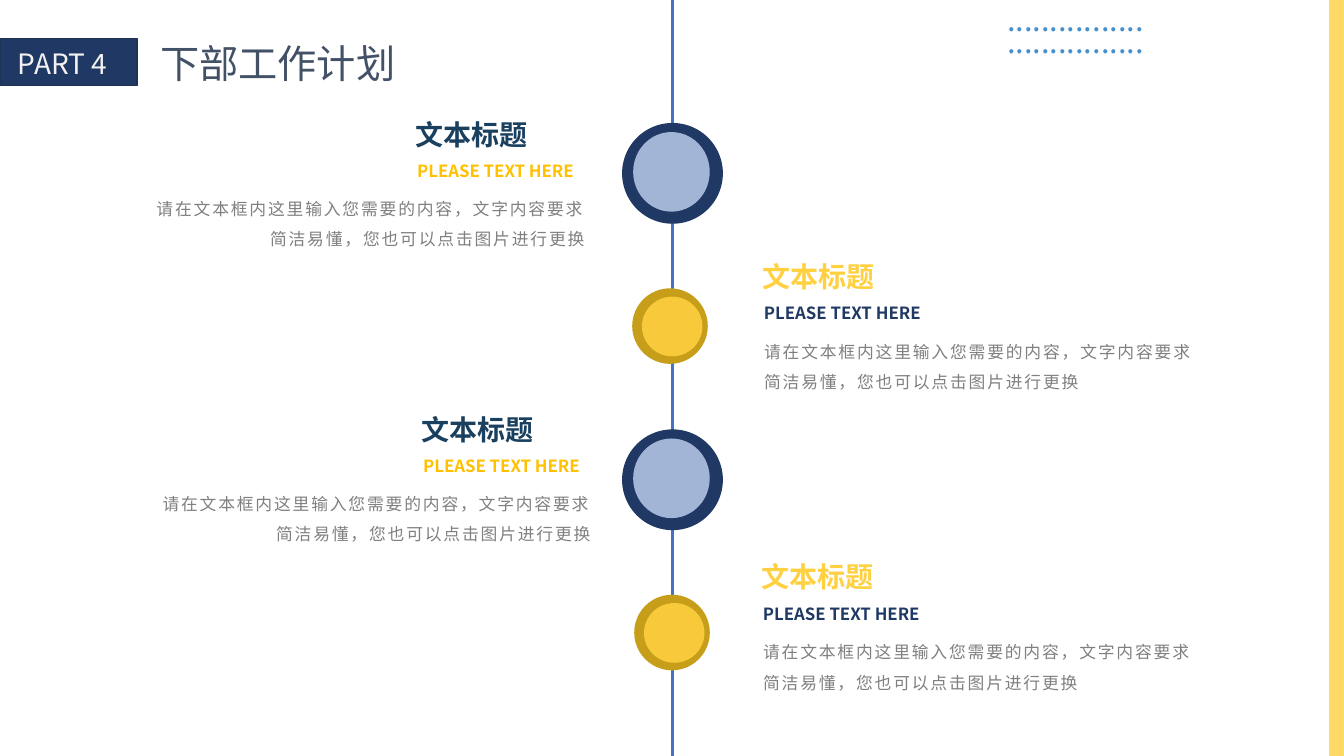
from collections import namedtuple
from lxml.etree import SubElement
from pptx import Presentation
from pptx.dml.color import RGBColor
from pptx.enum.shapes import MSO_CONNECTOR, MSO_SHAPE
from pptx.enum.text import MSO_ANCHOR, MSO_AUTO_SIZE, PP_ALIGN
from pptx.oxml.ns import qn
from pptx.util import Inches, Pt

CELL = Inches(0.1)
COLS, ROWS = 133.3, 75
FONT = "Noto Sans CJK SC"
BODY = "请在文本框内这里输入您需要的内容，文字内容要求简洁易懂，您也可以点击图片进行更换"

NAVY = RGBColor(0x20, 0x38, 0x64)
EDGE = RGBColor(0x1E, 0x32, 0x56)
SLATE = RGBColor(0x42, 0x51, 0x66)
PALE = RGBColor(0xF2, 0xF2, 0xF2)
SKY = RGBColor(0x47, 0x90, 0xCD)
SAND = RGBColor(0xFF, 0xD9, 0x66)
BLUE = RGBColor(0x44, 0x72, 0xC4)
MIST = RGBColor(0xB4, 0xC7, 0xE7)
OCHRE = RGBColor(0xC7, 0x9E, 0x19)
GOLD = RGBColor(0xFF, 0xD0, 0x40)
AMBER = RGBColor(0xFF, 0xC0, 0x00)
TEAL = RGBColor(0x1A, 0x40, 0x60)
GRAY = RGBColor(0x80, 0x80, 0x80)

Box = namedtuple("Box", "left top width height")
Look = namedtuple("Look", "head label align shift")
Disc = namedtuple("Disc", "rim core inset")

LEFT = Look(TEAL, AMBER, PP_ALIGN.RIGHT, 25.6)
RIGHT = Look(GOLD, NAVY, PP_ALIGN.LEFT, -0.9)
LARGE = Disc(NAVY, MIST, Box(0.11, 0.09, 0.76, 0.79))
SMALL = Disc(OCHRE, GOLD, Box(0.13, 0.11, 0.8, 0.79))

STEPS = [
    (Box(13.9, 11.3, 45.1, 13.7), LEFT, Box(61.7, 12.2, 10, 10), LARGE),
    (Box(74.8, 25.4, 45.1, 13.8), RIGHT, Box(62.7, 28.6, 7.5, 7.5), SMALL),
    (Box(14.5, 40.6, 45.1, 13.7), LEFT, Box(61.7, 42.6, 10, 10), LARGE),
    (Box(74.7, 55.2, 45.1, 13.8), RIGHT, Box(62.9, 59, 7.5, 7.5), SMALL),
]


def scale(box):
    return [round(part * CELL) for part in box]


def fill_text(frame, text, size, color, align, bold=False, anchor=MSO_ANCHOR.TOP):
    frame.word_wrap = True
    frame.auto_size = MSO_AUTO_SIZE.NONE
    frame.vertical_anchor = anchor
    para = frame.paragraphs[0]
    para.alignment = align
    run = para.add_run()
    run.text = text
    run.font.size = Pt(size)
    run.font.bold = bold
    run.font.name = FONT
    run.font.color.rgb = color
    SubElement(run.font._element, qn("a:ea"), typeface=FONT)
    return para, run


def add_text(slide, box, *args, **more):
    frame = slide.shapes.add_textbox(*scale(box)).text_frame
    return fill_text(frame, *args, **more)


def add_form(slide, kind, box, color, alpha=None):
    form = slide.shapes.add_shape(kind, *scale(box))
    form.shadow.inherit = False
    form.fill.solid()
    form.fill.fore_color.rgb = color
    form.line.fill.background()
    if alpha:
        tone = form._element.spPr.find(qn("a:solidFill"))[0]
        SubElement(tone, qn("a:alpha"), val=str(alpha * 1000))
    return form


def add_rule(slide, col, color, width):
    start = scale((col, 0))
    end = scale((col, ROWS))
    rule = slide.shapes.add_connector(MSO_CONNECTOR.STRAIGHT, *start, *end)
    rule.line.color.rgb = color
    rule.line.width = Pt(width)
    SubElement(rule._element.spPr, qn("a:effectLst"))


def add_banner(slide, box):
    title = slide.shapes.title
    place = Box(box.left + 12.8, box.top - 0.4, 29.5, 5.7)
    title.left, title.top, title.width, title.height = scale(place)
    fill_text(title.text_frame, "下部工作计划", 28, SLATE, PP_ALIGN.CENTER)
    tag = add_form(slide, MSO_SHAPE.RECTANGLE, box, NAVY)
    tag.line.color.rgb = EDGE
    tag.line.width = Pt(1)
    part = Box(box.left + 0.8, box.top + 0.3, 12.1, 4.4)
    add_text(slide, part, "PART 4", 20, PALE, PP_ALIGN.LEFT)


def add_dots(slide, box):
    for row in range(2):
        line = box._replace(top=box.top + row * 2.2)
        add_text(slide, line, "." * 16, 22, SKY, PP_ALIGN.JUSTIFY)


def add_disc(slide, box, disc):
    add_form(slide, MSO_SHAPE.OVAL, box, disc.rim)
    size = box.width
    inset = disc.inset
    core = Box(box.left + inset.left * size, box.top + inset.top * size,
               inset.width * size, inset.height * size)
    add_form(slide, MSO_SHAPE.OVAL, core, disc.core, 88)


def add_entry(slide, box, look):
    left = box.left + look.shift
    label = Box(left, box.top + 4.35, 19.3, 2.6)
    add_text(slide, label, "PLEASE TEXT HERE", 12, look.label,
             PP_ALIGN.CENTER, True, MSO_ANCHOR.MIDDLE)
    head = Box(left + 0.7, box.top, 17.7, 4)
    add_text(slide, head, "文本标题", 20, look.head,
             PP_ALIGN.JUSTIFY, True, MSO_ANCHOR.MIDDLE)
    body = Box(box.left, box.top + box.height - 6.8, box.width, 6.8)
    para, run = add_text(slide, body, BODY, 12, GRAY, look.align)
    para.line_spacing = 1.5
    run.font._element.set("spc", "130")


def main():
    deck = Presentation()
    deck.slide_width, deck.slide_height = scale((COLS, ROWS))
    slide = deck.slides.add_slide(deck.slide_layouts[5])
    add_banner(slide, Box(0, 3.8, 13.6, 4.7))
    add_dots(slide, Box(98.9, -0.4, 32, 4.7))
    add_rule(slide, 132.6, SAND, 11.75)
    add_rule(slide, 66.7, BLUE, 2)
    for area, look, spot, disc in STEPS:
        add_disc(slide, spot, disc)
        add_entry(slide, area, look)
    deck.save("out.pptx")


if __name__ == "__main__":
    main()
